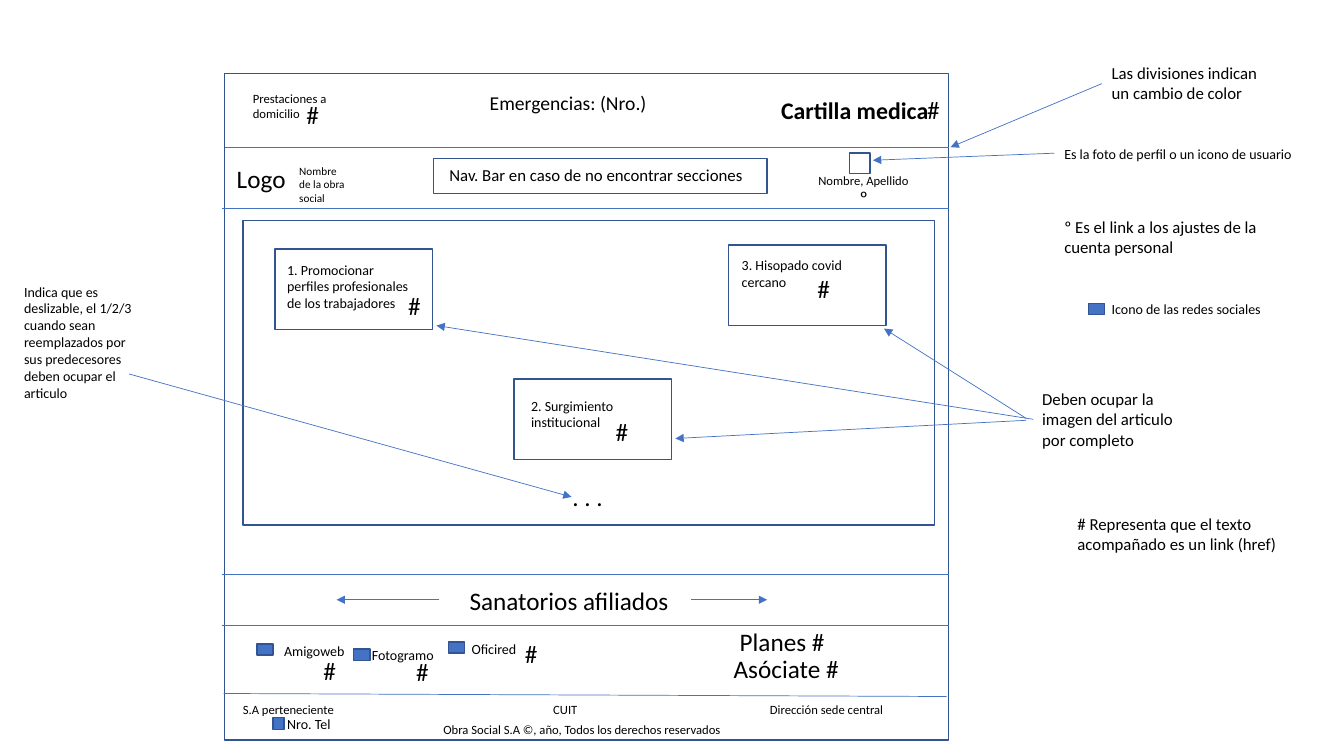
from dataclasses import dataclass

from lxml import etree
from pptx import Presentation
from pptx import util as u
from pptx.dml.color import RGBColor
from pptx.enum import shapes, text
from pptx.oxml import ns

# Square grid: 133.33 columns by 75 rows, a tenth of an inch each
CELL = u.Inches(0.1)
COLUMNS, ROWS = 133.33, 75


@dataclass(frozen=True)
class Theme:
    font: str = "Calibri"
    ink: str = "000000"
    accent: str = "4472C4"
    outline: str = "325491"
    outline_width: float = 1
    line_width: float = 0.5
    title: float = 18
    strong: float = 17
    heading: float = 14
    note: float = 12
    body: float = 10
    small: float = 9
    tiny: float = 8


THEME = Theme()


def cells(*counts):
    return [round(count * CELL) for count in counts]


def add_text(page, words, left, top, width, height, size=THEME.body,
             bold=False, wrap=True):
    box = page.shapes.add_textbox(*cells(left, top, width, height))
    frame = box.text_frame
    frame.word_wrap = wrap
    frame.auto_size = text.MSO_AUTO_SIZE.SHAPE_TO_FIT_TEXT
    for index, line in enumerate(words.split("\n")):
        para = frame.add_paragraph() if index else frame.paragraphs[0]
        span = para.add_run()
        span.text = line
        span.font.name = THEME.font
        span.font.size = u.Pt(size)
        span.font.bold = bold
        span.font.color.rgb = RGBColor.from_string(THEME.ink)


def add_box(page, left, top, width, height, filled=False):
    box = page.shapes.add_shape(shapes.MSO_SHAPE.RECTANGLE,
                                *cells(left, top, width, height))
    box.shadow.inherit = False
    if filled:
        box.fill.solid()
        box.fill.fore_color.rgb = RGBColor.from_string(THEME.accent)
    else:
        box.fill.background()
    box.line.color.rgb = RGBColor.from_string(THEME.outline)
    box.line.width = u.Pt(THEME.outline_width)


def add_line(page, x1, y1, x2, y2, arrow=False):
    line = page.shapes.add_connector(shapes.MSO_CONNECTOR.STRAIGHT,
                                     *cells(x1, y1, x2, y2))
    line.line.color.rgb = RGBColor.from_string(THEME.accent)
    line.line.width = u.Pt(THEME.line_width)
    properties = line._element.spPr
    if arrow:
        etree.SubElement(properties.find(ns.qn("a:ln")), ns.qn("a:tailEnd"),
                         type="triangle")
    etree.SubElement(properties, ns.qn("a:effectLst"))


def add_icon(page, left, top, width=1.6, height=1.1):
    add_box(page, left, top, width, height, filled=True)


def add_link_mark(page, left, top):
    add_text(page, "#", left, top, 3.3, 4, THEME.title, wrap=False)


def add_frame(page):
    add_box(page, 22.3, 7.3, 71.8, 66.1)
    for x1, y1, x2, y2 in ((22.3, 14.6, 94.1, 14.6), (22, 20.7, 94.1, 20.7),
                           (22, 57, 94.1, 57), (22, 62, 94.1, 62),
                           (22.2, 68.8, 93.9, 69.1)):
        add_line(page, x1, y1, x2, y2)


def add_header(page):
    # Top strip
    add_text(page, "Prestaciones a domicilio", 24.1, 8.5, 14.1, 4, THEME.small)
    add_link_mark(page, 29.4, 9.4)
    add_text(page, "Emergencias: (Nro.)", 47.6, 8.5, 23.8, 3.4, THEME.heading)
    add_text(page, "Cartilla medica", 76.5, 9, 20.2, 3.9, THEME.strong, bold=True)
    add_link_mark(page, 91, 8.9)
    # Navigation strip
    add_text(page, "Logo", 22.5, 15.7, 6.9, 4, THEME.title, wrap=False)
    add_text(page, "Nombre\nde la obra\nsocial", 28.7, 15.8, 6.8, 5,
             THEME.tiny, wrap=False)
    add_box(page, 43, 15.7, 33.1, 3.5)
    add_text(page, "Nav. Bar en caso de no encontrar secciones",
             43.6, 15.9, 31.5, 3, THEME.note, wrap=False)
    # User profile
    add_box(page, 84.3, 15.2, 2, 2)
    add_text(page, "Nombre, Apellido", 80.2, 16.7, 22.3, 2.5, THEME.small)
    add_text(page, "º", 84.3, 18, 2.8, 3.4, THEME.heading, wrap=False)


def add_carousel(page):
    add_box(page, 24.1, 21.9, 68.6, 30.2)
    # Card corner, then the caption's place and the link mark's place
    cards = (
        ("1. Promocionar perfiles profesionales de los trabajadores",
         (27.3, 24.7), (27.5, 25.4, 14.2, 6.1), (39.5, 28.3), True),
        ("2. Surgimiento institucional",
         (51, 37.6), (51.7, 38.9, 16.7, 4.4), (60.1, 40.8), True),
        ("3. Hisopado covid\ncercano",
         (72.3, 24.3), (72.6, 25, 12.4, 4.4), (80.1, 26.6), False),
    )
    for caption, corner, place, mark, wrap in cards:
        add_box(page, *corner, 15.6, 8)
        add_text(page, caption, *place, wrap=wrap)
        add_link_mark(page, *mark)
    add_text(page, ". . .", 55.8, 47.3, 21.8, 4, THEME.title)


def add_footer(page):
    # Affiliated clinics
    add_text(page, "Sanatorios afiliados", 45.6, 57.6, 27.3, 4, THEME.title)
    add_line(page, 68.6, 59.5, 76.1, 59.5, arrow=True)
    add_line(page, 43.6, 59.5, 33.4, 59.5, arrow=True)
    # Social networks: label, icon and link mark places
    networks = (
        ("Amigoweb", (27.2, 63.3), (25.5, 63.9), (31.1, 64.5)),
        ("Fotogramo", (35.9, 63.6), (35.1, 64.4), (40.3, 64.6)),
        ("Oficired", (45.8, 63.1), (44.5, 63.7), (51.1, 62.8)),
    )
    for name, place, icon, mark in networks:
        add_text(page, name, *place, 9.5, 2.7)
        add_icon(page, *icon)
        add_link_mark(page, *mark)
    add_text(page, "Planes #", 72.4, 61.6, 23.1, 4, THEME.title)
    add_text(page, "Asóciate #", 71.8, 64.3, 12.5, 4, THEME.title, wrap=False)
    # Legal details
    add_text(page, "S.A perteneciente", 23.1, 69.1, 41.1, 2.5, THEME.small)
    add_text(page, "CUIT", 53.9, 69.1, 10, 2.5, THEME.small)
    add_text(page, "Dirección sede central", 75.4, 69.1, 13.4, 2.5,
             THEME.small, wrap=False)
    add_text(page, "Obra Social S.A ©, año, Todos los derechos reservados",
             43, 71.1, 30.8, 2.5, THEME.small)
    add_text(page, "Nro. Tel", 27.5, 70.5, 6.8, 2.7, wrap=False)
    add_icon(page, 27.1, 71.2, 1.1, 1.2)


def add_notes_around(page):
    add_text(page, "Las divisiones indican un cambio de color",
             109.3, 5.7, 16.7, 5, THEME.note)
    add_text(page, "Es la foto de perfil o un icono de usuario",
             104.6, 13.9, 24.8, 2.7, wrap=False)
    add_text(page, "º Es el link a los ajustes de la cuenta personal",
             104.6, 21, 22.3, 5, THEME.note)
    add_text(page, "Icono de las redes sociales", 109.3, 29.3, 17, 2.7, wrap=False)
    add_icon(page, 108, 30.1)
    add_text(page, "Deben ocupar la imagen del articulo por completo",
             102.4, 38.1, 16.9, 7.1, THEME.note)
    add_text(page, "# Representa que el texto acompañado es un link (href)",
             105.9, 50.5, 22.2, 5, THEME.note)
    add_text(page, "Indica que es deslizable, el 1/2/3 cuando sean reemplazados "
             "por sus predecesores deben ocupar el articulo",
             1.4, 27.6, 12.9, 12.8)
    # Pointers from each note to its part
    for pointer in ((109.3, 8.3, 94.3, 14.6), (104.6, 15.2, 86.6, 15.9),
                    (102.5, 41.6, 43.3, 32.3), (101.8, 41.7, 67, 43.5),
                    (101.8, 41.5, 87.7, 32.6), (12.8, 37.1, 56.7, 49.3)):
        add_line(page, *pointer, arrow=True)


def main():
    deck = Presentation()
    deck.slide_width, deck.slide_height = cells(COLUMNS, ROWS)
    page = deck.slides.add_slide(deck.slide_layouts[6])
    add_frame(page)
    add_header(page)
    add_carousel(page)
    add_footer(page)
    add_notes_around(page)
    deck.save("out.pptx")


if __name__ == "__main__":
    main()
